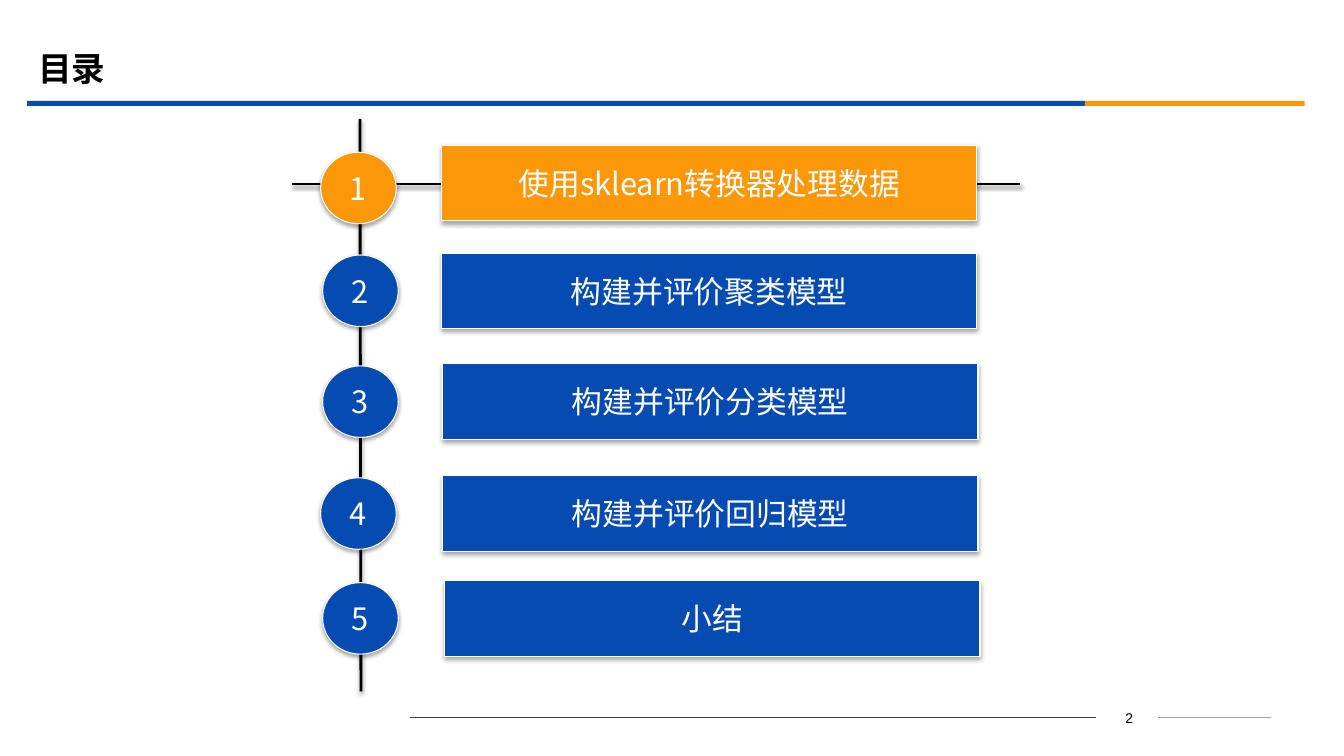
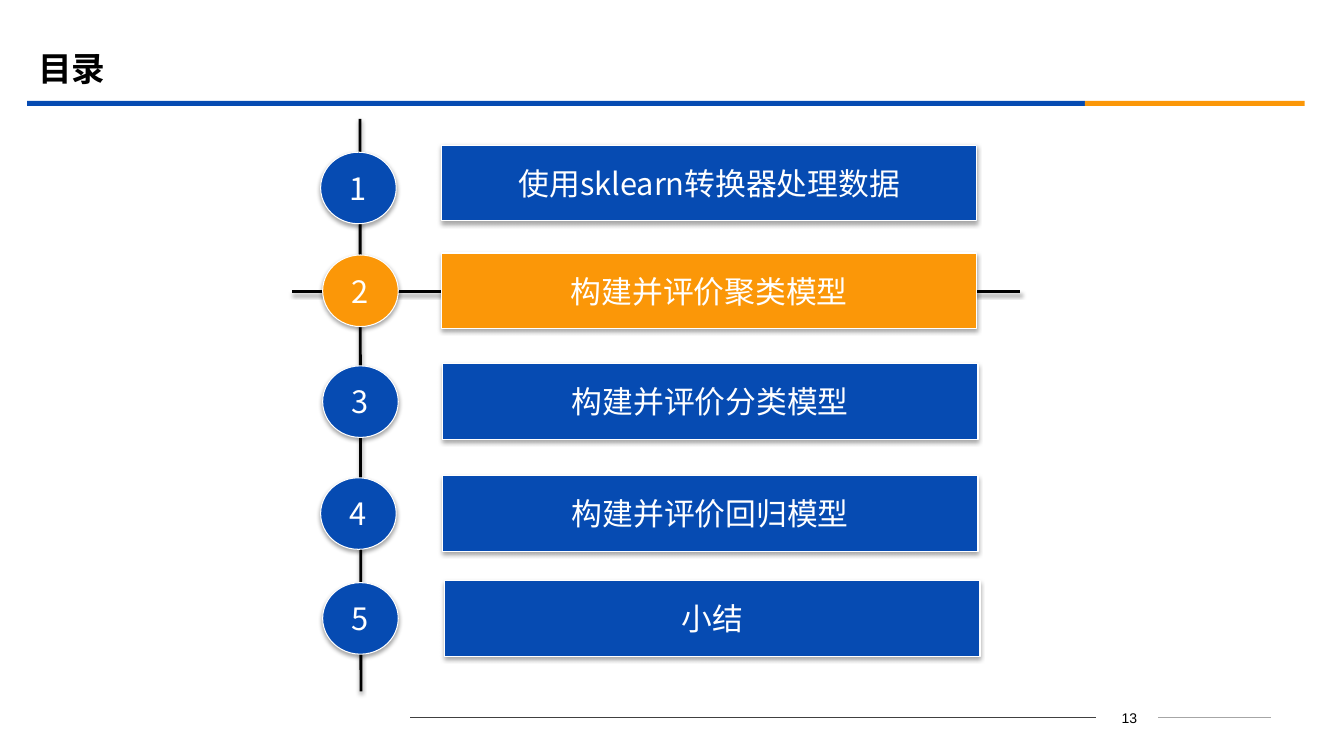
from dataclasses import dataclass
from lxml import etree
from pptx import Presentation
from pptx.dml.color import RGBColor
from pptx.enum.shapes import MSO_CONNECTOR, MSO_SHAPE
from pptx.enum.text import MSO_ANCHOR, MSO_AUTO_SIZE, PP_ALIGN
from pptx.oxml.ns import qn
from pptx.util import Inches, Pt

RECT, BALL = MSO_SHAPE.RECTANGLE, MSO_SHAPE.OVAL
PLATE = MSO_SHAPE.ACTION_BUTTON_CUSTOM
LINE = MSO_CONNECTOR.STRAIGHT
LEFT, CENTER = PP_ALIGN.LEFT, PP_ALIGN.CENTER
MIDDLE, FIXED = MSO_ANCHOR.MIDDLE, MSO_AUTO_SIZE.NONE

# Content: heading, (page number, active topic), and topics as
# (text, plate left, plate top, ball left, ball top)
HEAD = "目录"
PAGES = [(2, 1), (13, 2)]
TOPICS = [
    ("使用sklearn转换器处理数据", 4.38, 1.44, 3.18, 1.51),
    ("构建并评价聚类模型", 4.38, 2.51, 3.2, 2.53),
    ("构建并评价分类模型", 4.39, 3.61, 3.2, 3.63),
    ("构建并评价回归模型", 4.39, 4.72, 3.18, 4.74),
    ("小结", 4.41, 5.76, 3.2, 5.78),
]
PLATE_W, PLATE_H = 5.31, 0.75
BALL_W, BALL_H = 0.75, 0.71


@dataclass(frozen=True)
class Theme:
    """Colours, fonts and type sizes of the deck."""
    blue: str = "064BB2"
    gold: str = "FB9708"
    white: str = "FFFFFF"
    black: str = "000000"
    dark: str = "404040"
    gray: str = "A6A6A6"
    font: str = "Noto Sans CJK SC"
    plain: str = "Arial"
    title: int = 24
    label: int = 22
    small: int = 10


THEME = Theme()


def color(code):
    """Turn a hex code into a colour."""
    return RGBColor.from_string(code)


def shade(item, drop=0, alpha=0):
    """Give an item a soft shadow below it, or none when drop is zero."""
    effect = etree.SubElement(item._element.spPr, qn("a:effectLst"))
    if drop:
        outer = etree.SubElement(
            effect, qn("a:outerShdw"), blurRad=str(Pt(3.1)),
            dist=str(Pt(drop)), dir="5400000", rotWithShape="0")
        tint = etree.SubElement(outer, qn("a:srgbClr"), val=THEME.black)
        etree.SubElement(tint, qn("a:alpha"), val=str(alpha * 1000))


def write(frame, text, size, ink, font=THEME.font, bold=False, align=CENTER):
    """Write one run into the first paragraph of a text frame."""
    para = frame.paragraphs[0]
    para.alignment = align
    run = para.add_run()
    run.text = text
    run.font.size, run.font.bold, run.font.name = Pt(size), bold, font
    run.font.color.rgb = color(ink)
    east = etree.SubElement(run._r.get_or_add_rPr(), qn("a:ea"))
    east.set("typeface", font)


def rule(slide, start, end, ink, width, drop=0, alpha=0):
    """Draw a straight line between two points."""
    line = slide.shapes.add_connector(
        LINE, *(Inches(n) for n in (*start, *end)))
    line.line.color.rgb = color(ink)
    line.line.width = Pt(width)
    shade(line, drop, alpha)


def block(slide, kind, box, fill):
    """Add a filled shape without outline or shadow."""
    shape = slide.shapes.add_shape(kind, *(Inches(n) for n in box))
    shape.shadow.inherit = False
    shape.fill.solid()
    shape.fill.fore_color.rgb = color(fill)
    shape.line.fill.background()
    return shape


def badge(slide, kind, box, fill, text):
    """Add a raised shape with a white edge and a centred label."""
    shape = block(slide, kind, box, fill)
    shape.line.color.rgb = color(THEME.white)
    shape.line.width = Pt(0.75)
    shape._element.spPr.remove(shape._element.spPr.find(qn("a:effectLst")))
    shade(shape, 1.8, 35)
    frame = shape.text_frame
    frame.word_wrap = False
    frame.vertical_anchor = MIDDLE
    write(frame, text, THEME.label, THEME.white)


def base(deck, page):
    """Add a slide with the shared title, band and footer."""
    slide = deck.slides.add_slide(deck.slide_layouts[5])
    title = slide.shapes.title
    title.left, title.top = Inches(0.28), Inches(0.39)
    title.width, title.height = Inches(12), Inches(0.58)
    title.text_frame.auto_size = FIXED
    title.text_frame.vertical_anchor = MIDDLE
    write(title.text_frame, HEAD, THEME.title, THEME.black,
          bold=True, align=LEFT)
    block(slide, RECT, (0.27, 1, 10.49, 0.05), THEME.blue)
    block(slide, RECT, (10.76, 1, 2.18, 0.05), THEME.gold)
    rule(slide, (4.07, 7.12), (10.87, 7.12), THEME.dark, 0.75)
    rule(slide, (11.49, 7.12), (12.61, 7.12), THEME.gray, 0.75)
    note = slide.shapes.add_textbox(
        Inches(10.89), Inches(6.99), Inches(0.62), Inches(0.25))
    note.text_frame.word_wrap = True
    write(note.text_frame, str(page), THEME.small, THEME.black, THEME.plain)
    return slide


def agenda(slide, active):
    """Draw the topics along a spine and mark the active one."""
    rule(slide, (3.57, 1.18), (3.58, 6.86), THEME.black, 2, 1.6, 38)
    mid = TOPICS[active - 1][2] + PLATE_H / 2 + 0.01
    rule(slide, (2.9, mid), (10.12, mid), THEME.black, 2, 1.6, 38)
    for num, (text, left, top, ball_x, ball_y) in enumerate(TOPICS, 1):
        fill = THEME.gold if num == active else THEME.blue
        badge(slide, PLATE, (left, top, PLATE_W, PLATE_H), fill, text)
        badge(slide, BALL, (ball_x, ball_y, BALL_W, BALL_H), fill, str(num))


def main():
    """Build and save the deck."""
    deck = Presentation()
    deck.slide_width, deck.slide_height = Inches(13.33), Inches(7.5)
    for page, active in PAGES:
        agenda(base(deck, page), active)
    deck.save("out.pptx")


main()
